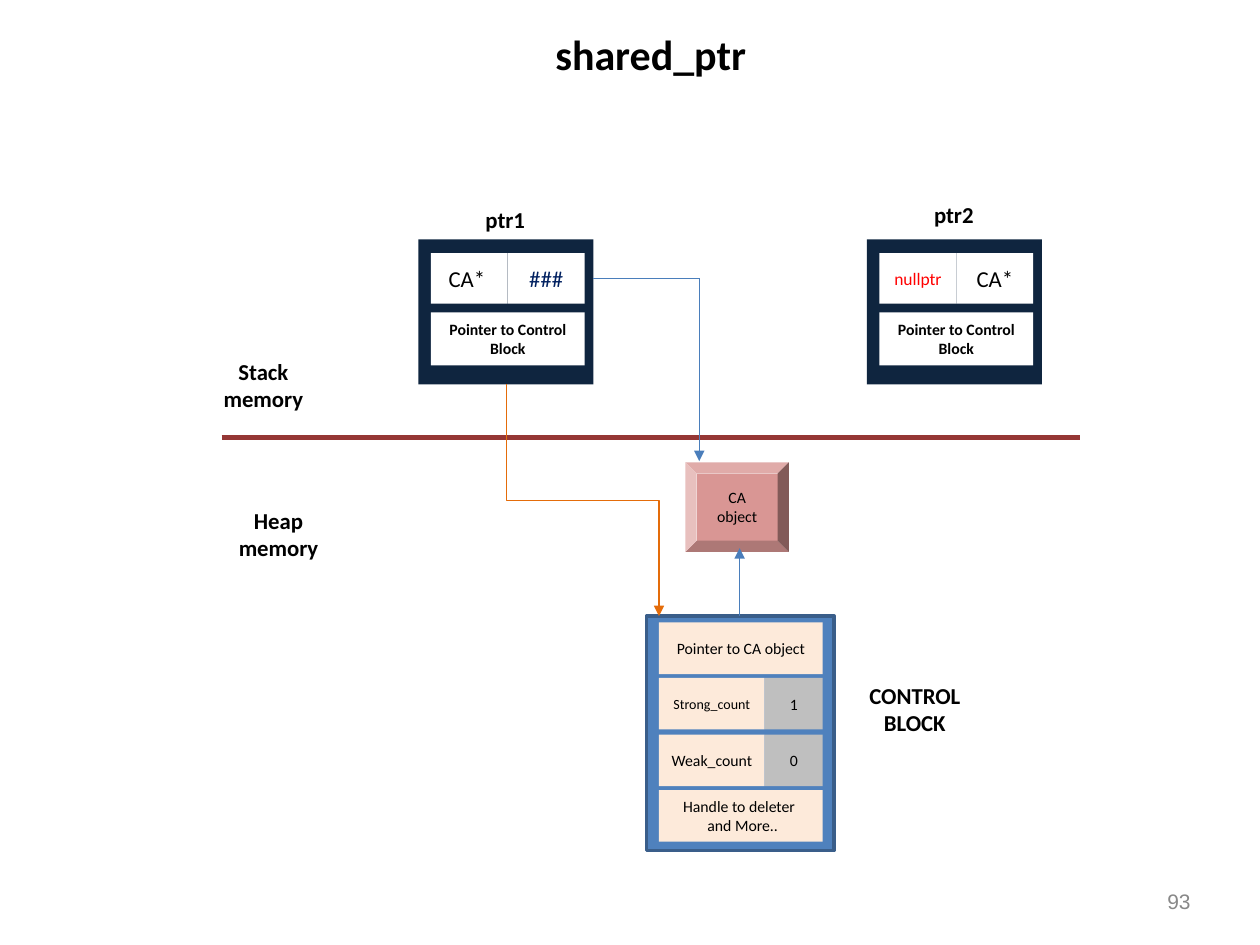
from lxml.etree import SubElement
from pptx import Presentation
from pptx.dml.color import RGBColor
from pptx.enum.shapes import MSO_CONNECTOR, MSO_SHAPE
from pptx.enum.text import MSO_ANCHOR, PP_ALIGN
from pptx.oxml.ns import qn
from pptx.util import Pt

PX = 9144  # EMU in one px, 100 px to the inch

BLACK = RGBColor(0x00, 0x00, 0x00)
WHITE = RGBColor(0xFF, 0xFF, 0xFF)
GREY = RGBColor(0x88, 0x88, 0x88)
SILVER = RGBColor(0xBF, 0xBF, 0xBF)
NAVY = RGBColor(0x0F, 0x25, 0x3F)
INK = RGBColor(0x00, 0x20, 0x60)
RED = RGBColor(0xFF, 0x00, 0x00)
ROSE = RGBColor(0xD9, 0x96, 0x94)
MAROON = RGBColor(0x95, 0x37, 0x35)
CREAM = RGBColor(0xFD, 0xEA, 0xDA)
BLUE = RGBColor(0x4F, 0x81, 0xBD)
EDGE = RGBColor(0x3A, 0x5E, 0x8A)
ARROW = RGBColor(0x4A, 0x7E, 0xBB)
ORANGE = RGBColor(0xE4, 0x6C, 0x0A)


def emu(*px):
    return [n * PX for n in px]


def write(shape, text, size, color=BLACK, bold=False, font="Calibri",
          align=PP_ALIGN.CENTER, anchor=MSO_ANCHOR.MIDDLE, side=5):
    frame = shape.text_frame
    frame.text = text
    frame.word_wrap = True
    frame.vertical_anchor = anchor
    frame.margin_left = frame.margin_right = side * PX
    frame.margin_top = frame.margin_bottom = 5 * PX
    for para in frame.paragraphs:
        para.alignment = align
        for run in para.runs:
            run.font.name = font
            run.font.size = Pt(size)
            run.font.bold = bold
            run.font.color.rgb = color


def add_box(slide, area, fill, kind=MSO_SHAPE.RECTANGLE):
    box = slide.shapes.add_shape(kind, *emu(*area))
    box.shadow.inherit = False
    box.fill.solid()
    box.fill.fore_color.rgb = fill
    box.line.fill.background()
    return box


def add_cell(slide, area, fill, text, size, color=BLACK, bold=False):
    write(add_box(slide, area, fill), text, size, color, bold)


def add_label(slide, area, text):
    box = slide.shapes.add_textbox(*emu(*area))
    write(box, text, 13, bold=True, anchor=MSO_ANCHOR.TOP)


def style_line(shape, color, width, head):
    shape.line.color.rgb = color
    shape.line.width = Pt(width)
    if head:
        SubElement(shape.line._get_or_add_ln(), qn("a:tailEnd"), type="triangle")


def add_line(slide, start, end, color, width=0.75, head=False):
    line = slide.shapes.add_connector(
        MSO_CONNECTOR.STRAIGHT, *emu(*start, *end))
    style_line(line, color, width, head)
    SubElement(line._element.spPr, qn("a:effectLst"))


def add_bend(slide, points, color):
    """Draw an open path through the points, with an arrowhead at its end."""
    build = slide.shapes.build_freeform(*points[0], scale=PX)
    build.add_line_segments(points[1:], close=False)
    bend = build.convert_to_shape()
    bend.shadow.inherit = False
    bend.fill.background()
    style_line(bend, color, 0.75, True)


def add_ptr(slide, left, cells):
    """Draw a smart pointer: two cells above its control block pointer."""
    top = 190
    add_box(slide, (left, top, 139, 115), NAVY)
    for i, (text, size, color) in enumerate(cells):
        area = (left + 10 + 61 * i, top + 11, 61, 40)
        add_cell(slide, area, WHITE, text, size, color)
    add_cell(slide, (left + 10, top + 58, 122, 42), WHITE,
             "Pointer to Control Block", 9, bold=True)


def add_control(slide):
    frame = add_box(slide, (513, 489, 149, 186), BLUE)
    style_line(frame, EDGE, 2, False)
    rows = [("Pointer to CA object", 9, None), ("Strong_count", 8, "1"),
            ("Weak_count", 9, "0"), ("Handle to deleter \n and More..", 9, None)]
    for i, (text, size, count) in enumerate(rows):
        top = 494 + round(44.4 * i)
        wide = 84 if count else 130
        add_cell(slide, (523, top, wide, 41), CREAM, text, size)
        if count:
            add_cell(slide, (607, top, 46, 41), SILVER, count, 9)


def add_object(slide):
    bevel = add_box(slide, (544, 367, 82, 71), ROSE, MSO_SHAPE.BEVEL)
    bevel.adjustments[0] = 0.125
    write(bevel, "CA object", 9, side=11)


def add_title(slide):
    title = slide.shapes.title
    title.left, title.top, title.width, title.height = emu(425, 18, 183, 43)
    write(title, "shared_ptr", 24, bold=True, anchor=MSO_ANCHOR.TOP)


def add_number(slide):
    box = slide.shapes.add_textbox(*emu(900, 702, 50, 27))
    write(box, "93", 12, GREY, font="Arial", align=PP_ALIGN.RIGHT)


def main():
    deck = Presentation()
    deck.slide_width, deck.slide_height = emu(1000, 750)
    slide = deck.slides.add_slide(deck.slide_layouts[5])

    add_title(slide)
    add_ptr(slide, 688, [("nullptr", 10, RED), ("CA*", 13, BLACK)])
    add_ptr(slide, 332, [("CA* ", 13, BLACK), ("###", 13, INK)])
    add_object(slide)
    add_control(slide)

    add_line(slide, (176, 347), (857, 347), MAROON, 3)
    add_line(slide, (471, 221), (555, 221), ARROW)
    add_line(slide, (555, 221), (555, 366), ARROW, head=True)
    add_bend(slide, [(402, 305), (402, 397), (523, 397), (523, 489)], ORANGE)
    add_line(slide, (587, 489), (587, 435), ARROW, head=True)

    for text, area in [("CONTROL BLOCK", (677, 536, 98, 50)),
                       ("Stack memory", (160, 279, 98, 50)),
                       ("Heap memory", (172, 397, 98, 50)),
                       ("ptr1", (378, 158, 46, 28)),
                       ("ptr2", (734, 154, 46, 28))]:
        add_label(slide, area, text)
    add_number(slide)
    deck.save("out.pptx")


if __name__ == "__main__":
    main()
